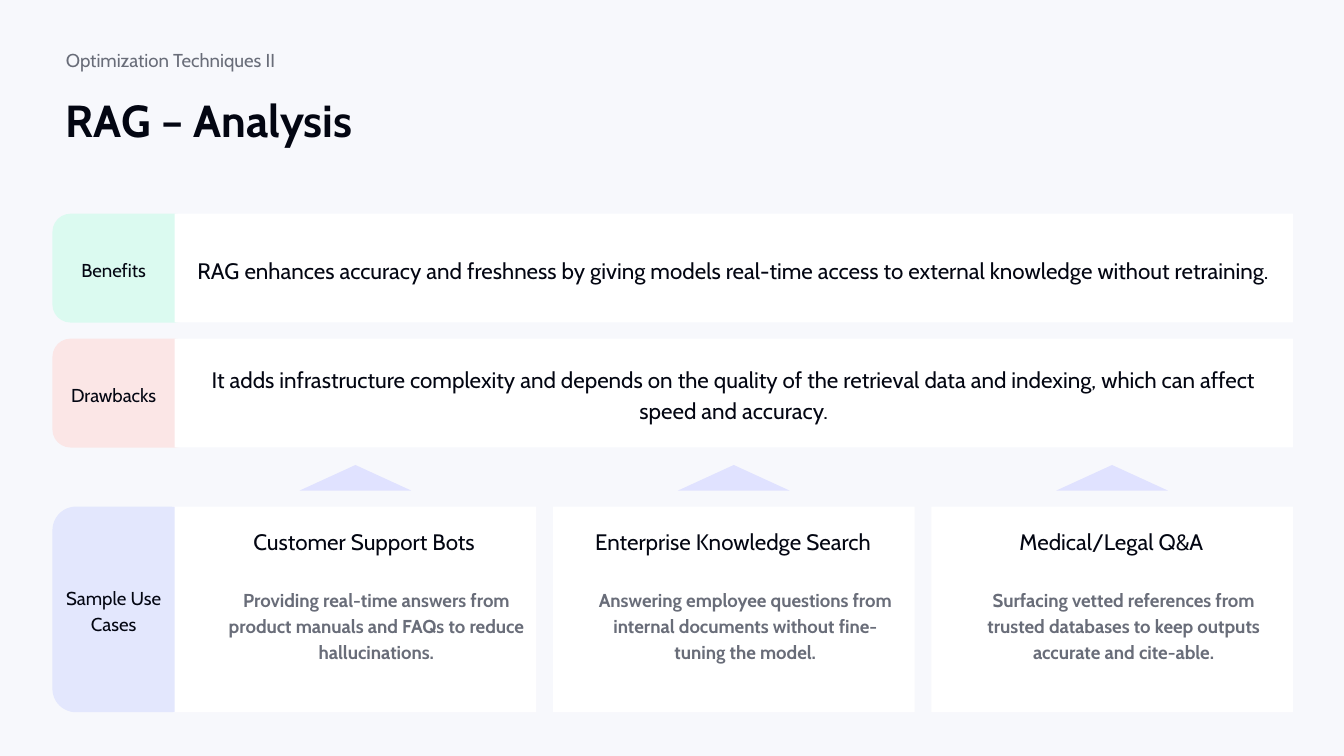
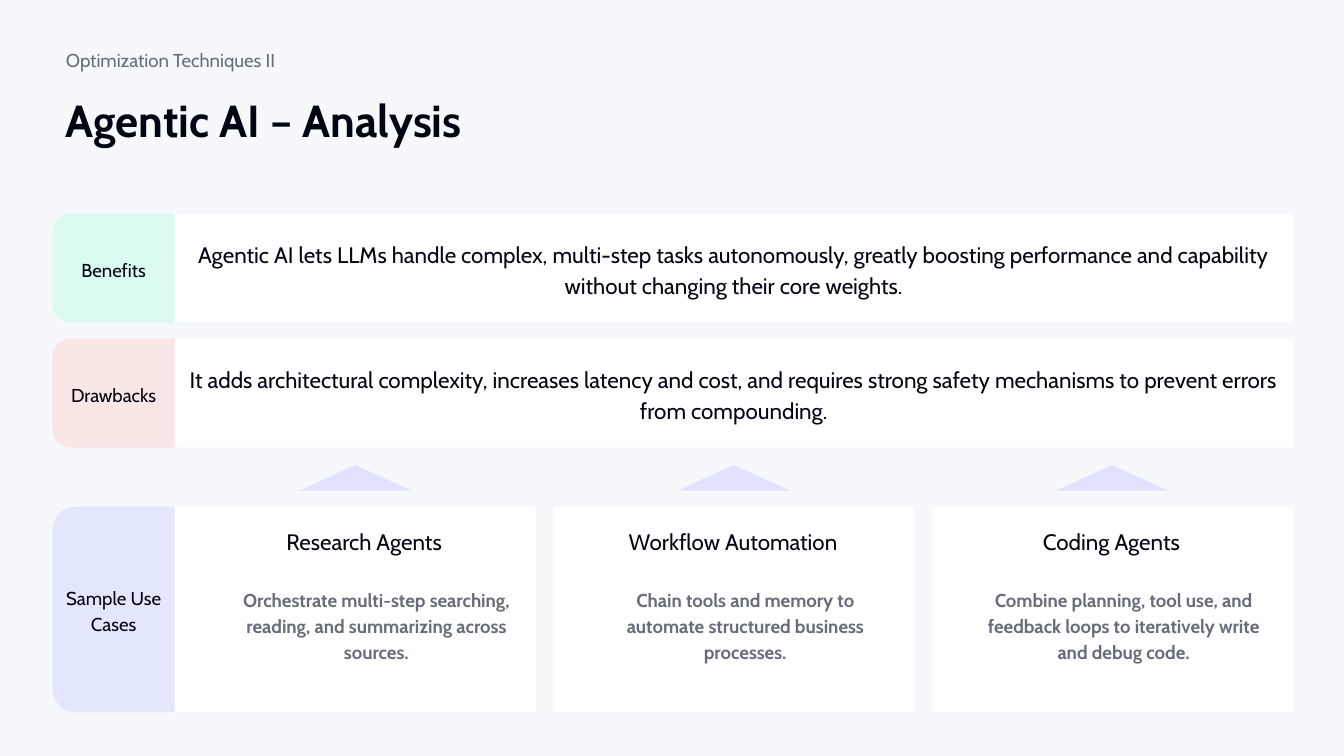
from dataclasses import dataclass

import pptx
import pptx.dml.color
import pptx.enum.shapes
import pptx.enum.text
import pptx.oxml
import pptx.oxml.ns
import pptx.util
from pptx.util import Inches

SHAPE = pptx.enum.shapes.MSO_SHAPE
ALIGN = pptx.enum.text.PP_ALIGN
ANCHOR = pptx.enum.text.MSO_ANCHOR


@dataclass(frozen=True)
class Theme:
    font: str = "Cabin"
    background: str = "F7F8FC"
    ink: str = "030612"
    muted: str = "696D79"
    card: str = "FFFFFF"
    arrow: str = "E0E2FF"
    benefits: str = "DBFAF0"
    drawbacks: str = "FBE6E6"
    use_cases: str = "E3E7FD"
    title_size: int = 24
    statement_size: int = 12
    small_size: int = 10


THEME = Theme()

LEFT = 0.39
LABEL_W = 0.91
TAB_W = 1.05
CARD_LEFT = LEFT + LABEL_W
CARD_SPAN = 8.32
BAND_TOP, BAND_H, BAND_STEP = 1.59, 0.81, 0.93
CASE_TOP, CASE_W, CASE_H = 3.77, 2.69, 1.53
CASE_STEP = (CARD_SPAN - CASE_W) / 2
ARROW_TOP, ARROW_W, ARROW_H = 3.46, 0.83, 0.19
CASE_TEXT_W, HEADING_H, DETAIL_H = 2.58, 0.49, 1.26
CASE_TEXT_INSETS = (0.12, 0.05, 0.05)

EYEBROW = "Optimization Techniques II"
ANALYSES = [
    {
        "title": "RAG – Analysis",
        "benefits": "RAG enhances accuracy and freshness by giving models real-time access "
                    "to external knowledge without retraining.",
        "drawbacks": "It adds infrastructure complexity and depends on the quality of the "
                     "retrieval data and indexing, which can affect speed and accuracy.",
        "cases": [
            ("Customer Support Bots",
             "Providing real-time answers from product manuals and FAQs to reduce "
             "hallucinations."),
            ("Enterprise Knowledge Search",
             "Answering employee questions from internal documents without fine-tuning "
             "the model."),
            ("Medical/Legal Q&A",
             "Surfacing vetted references from trusted databases to keep outputs accurate "
             "and cite-able."),
        ],
    },
    {
        "title": "Agentic AI – Analysis",
        "benefits": "Agentic AI lets LLMs handle complex, multi-step tasks autonomously, "
                    "greatly boosting performance and capability without changing their "
                    "core weights.",
        "drawbacks": "It adds architectural complexity, increases latency and cost, and "
                     "requires strong safety mechanisms to prevent errors from compounding.",
        "cases": [
            ("Research Agents",
             "Orchestrate multi-step searching, reading, and summarizing across sources."),
            ("Workflow Automation",
             "Chain tools and memory to automate structured business processes."),
            ("Coding Agents",
             "Combine planning, tool use, and feedback loops to iteratively write and "
             "debug code."),
        ],
    },
]


def rgb(value):
    return pptx.dml.color.RGBColor.from_string(value)


class Deck:
    def __init__(self, theme):
        self.theme = theme
        self.prs = pptx.Presentation()
        self.prs.slide_width = Inches(10)
        self.prs.slide_height = Inches(10 * 9 / 16)
        self.slide = None

    def new_slide(self):
        """Start a slide on the Comparison layout: a title and four body placeholders."""
        self.slide = self.prs.slides.add_slide(self.prs.slide_layouts[4])
        fill = self.slide.background.fill
        fill.solid()
        fill.fore_color.rgb = rgb(self.theme.background)

    def shape(self, kind, box, color):
        sp = self.slide.shapes.add_shape(kind, *map(Inches, box))
        sp.shadow.inherit = False
        sp.fill.solid()
        sp.fill.fore_color.rgb = rgb(color)
        sp.line.fill.background()

    def set_text(self, sp, text, size, color, bold=False, align=ALIGN.CENTER,
                 anchor=ANCHOR.MIDDLE, spacing=1.15, indent=0):
        tf = sp.text_frame
        frame = {"word_wrap": True, "vertical_anchor": anchor,
                 "auto_size": pptx.enum.text.MSO_AUTO_SIZE.NONE}
        frame.update({f"margin_{side}": Inches(0.1)
                      for side in ("left", "right", "top", "bottom")})
        for name, value in frame.items():
            setattr(tf, name, value)
        tf.text = text
        p = tf.paragraphs[0]
        pPr = p._p.get_or_add_pPr()
        pPr.set("marL", str(Inches(indent)))
        pPr.set("indent", "0")
        pPr.append(pptx.oxml.parse_xml(f"<a:buNone {pptx.oxml.ns.nsdecls('a')}/>"))
        for name, value in {"alignment": align, "line_spacing": spacing,
                            "space_before": pptx.util.Pt(0)}.items():
            setattr(p, name, value)
        font = p.runs[0].font
        for name, value in {"name": self.theme.font, "size": pptx.util.Pt(size),
                            "bold": bold}.items():
            setattr(font, name, value)
        font.color.rgb = rgb(color)

    def text(self, box, text, size):
        sp = self.slide.shapes.add_textbox(*map(Inches, box))
        self.set_text(sp, text, size, self.theme.ink)

    def placeholder(self, idx, box, text, size, color, **style):
        """Fill a layout placeholder and bring it in front of the shapes drawn so far."""
        sp = self.slide.placeholders[idx]
        sp.left, sp.top, sp.width, sp.height = map(Inches, box)
        sp.element.getparent().append(sp.element)
        self.set_text(sp, text, size, color, **style)

    def header(self, title):
        t = self.theme
        self.placeholder(1, (LEFT, 0.31, 2.36, 0.28), EYEBROW, t.small_size, t.muted,
                         align=ALIGN.LEFT, spacing=1.0)
        self.placeholder(0, (LEFT, 0.59, 9.23, 0.9), title, t.title_size, t.ink, bold=True,
                         align=ALIGN.LEFT, anchor=ANCHOR.TOP, spacing=1.0)

    def label(self, top, height, text, color):
        """Draw a coloured row tab; the white card placed next covers its right corners."""
        self.shape(SHAPE.ROUNDED_RECTANGLE, (LEFT, top, TAB_W, height), color)
        self.text((LEFT, top, LABEL_W, height), text, self.theme.small_size)

    def band(self, row, label, color, statement):
        top = BAND_TOP + row * BAND_STEP
        box = (CARD_LEFT, top, CARD_SPAN, BAND_H)
        self.label(top, BAND_H, label, color)
        self.shape(SHAPE.RECTANGLE, box, self.theme.card)
        self.text(box, statement, self.theme.statement_size)

    def use_case(self, column, heading, detail):
        t = self.theme
        left = CARD_LEFT + column * CASE_STEP
        text_left = left + CASE_TEXT_INSETS[column]
        self.shape(SHAPE.RECTANGLE, (left, CASE_TOP, CASE_W, CASE_H), t.card)
        self.shape(SHAPE.ISOSCELES_TRIANGLE,
                   (left + (CASE_W - ARROW_W) / 2, ARROW_TOP, ARROW_W, ARROW_H), t.arrow)
        self.text((text_left, CASE_TOP, CASE_TEXT_W, HEADING_H), heading, t.statement_size)
        self.placeholder(2 + column, (text_left, CASE_TOP + HEADING_H, CASE_TEXT_W, DETAIL_H),
                         detail, t.small_size, t.muted, bold=True, anchor=ANCHOR.TOP,
                         indent=0.18)


def main():
    deck = Deck(THEME)
    for analysis in ANALYSES:
        deck.new_slide()
        deck.header(analysis["title"])
        deck.band(0, "Benefits", THEME.benefits, analysis["benefits"])
        deck.band(1, "Drawbacks", THEME.drawbacks, analysis["drawbacks"])
        deck.label(CASE_TOP, CASE_H, "Sample Use Cases", THEME.use_cases)
        for column, (heading, detail) in enumerate(analysis["cases"]):
            deck.use_case(column, heading, detail)
    deck.prs.save("out.pptx")


if __name__ == "__main__":
    main()
